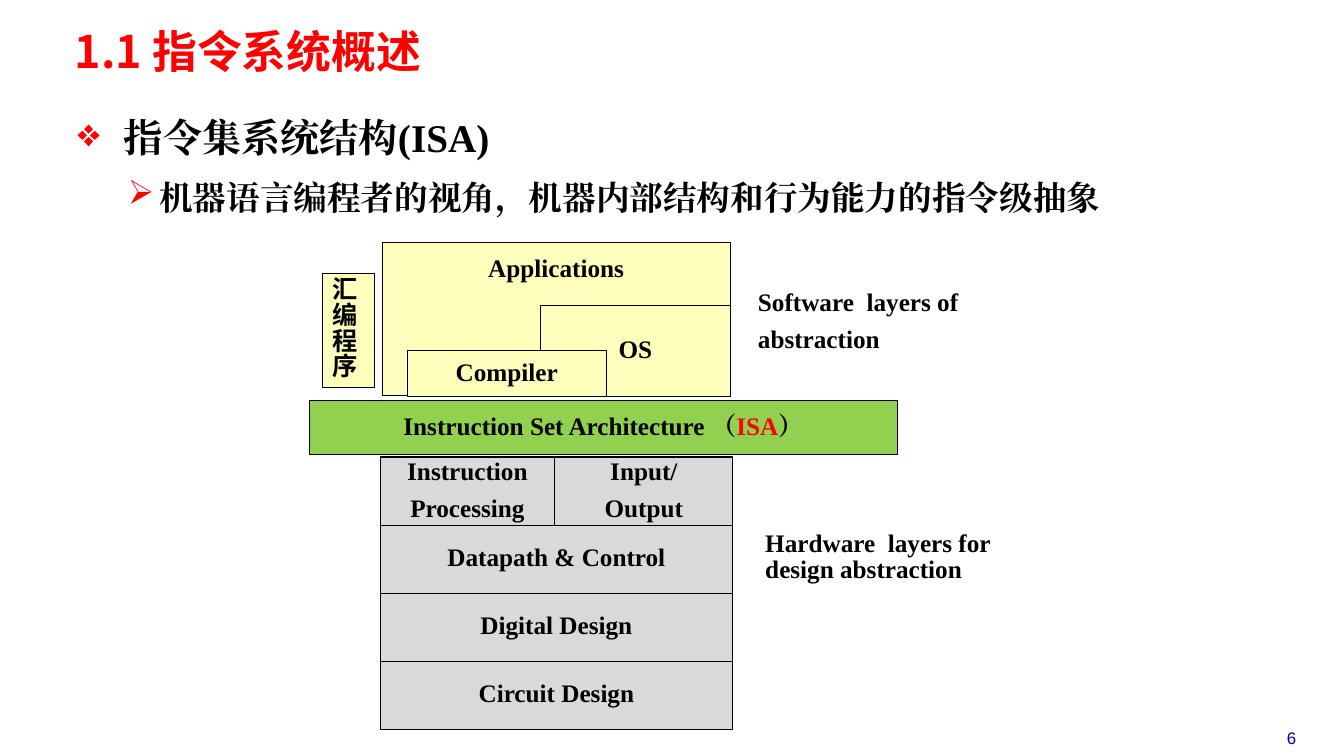
from lxml.etree import SubElement
from pptx import Presentation
from pptx.dml.color import RGBColor
from pptx.enum.shapes import MSO_SHAPE
from pptx.enum.text import MSO_ANCHOR, PP_ALIGN
from pptx.oxml.ns import qn
from pptx.util import Inches, Pt

SERIF, SANS, HAN = "Times New Roman", "Arial", "Noto Sans CJK SC"
BLACK, RED, NAVY = "000000", "FF0000", "000099"
CREAM, GREEN, GREY = "FFFFBD", "92D050", "D9D9D9"
MID, TOP = MSO_ANCHOR.MIDDLE, MSO_ANCHOR.TOP

deck = Presentation()
deck.slide_width, deck.slide_height = Inches(13.33), Inches(7.5)
slide = deck.slides.add_slide(deck.slide_layouts[6])


def place(area, fill=None, anchor=TOP, wrap=True):
    """Add a box whose area is in percent of the slide; return its text frame."""
    sides = (deck.slide_width, deck.slide_height) * 2
    spot = [round(side * part / 100) for side, part in zip(sides, area)]
    if fill:
        box = slide.shapes.add_shape(MSO_SHAPE.RECTANGLE, *spot)
        box.shadow.inherit = False
        box.fill.solid()
        box.fill.fore_color.rgb = RGBColor.from_string(fill)
        box.line.color.rgb = RGBColor.from_string(BLACK)
        box.line.width = Pt(0.75)
    else:
        box = slide.shapes.add_textbox(*spot)
    frame = box.text_frame
    frame.word_wrap, frame.vertical_anchor = wrap, anchor
    return frame


def write(frame, lines, size=18, face=SERIF, align=PP_ALIGN.LEFT,
          lead=0.85, gap=8, bold=True):
    """Write lines, each a list of (text, colour) runs."""
    for row, line in enumerate(lines):
        para = frame.add_paragraph() if row else frame.paragraphs[0]
        para.alignment, para.line_spacing = align, lead
        para.space_before = Pt(gap if row else 0)
        for text, hue in line:
            run = para.add_run()
            run.text = text
            run.font.size, run.font.bold, run.font.name = Pt(size), bold, face
            run.font.color.rgb = RGBColor.from_string(hue)
            SubElement(run.font._element, qn("a:ea"), typeface=face)


# Title and page number
title = place((5.03, 3.73, 57.54, 6.93))
title.margin_left = title.margin_right = Inches(0.07)
title.margin_top = title.margin_bottom = Inches(0.03)
write(title, [[("1.1 指令系统概述", RED)]], 32, HAN, lead=0.87)
write(place((92.57, 95.6, 7.05, 4)), [[("6", NAVY)]], 12, SANS,
      PP_ALIGN.CENTER, lead=1, bold=False)

# Bulleted text
body = place((5.03, 13.07, 84.55, 15.87))
write(body, [[("指令集系统结构(ISA)", BLACK)],
             [("机器语言编程者的视角，机器内部结构和行为能力的指令级抽象", BLACK)]],
      28, lead=1.2, gap=3)
body.paragraphs[1].level = 1
body.paragraphs[1].runs[0].font.size = Pt(24)
for para, mark, left, hang in zip(body.paragraphs, "❖➢", (0.46, 0.81), (0.46, 0.31)):
    para.space_after = Pt(3)
    props = para._p.get_or_add_pPr()
    props.set("marL", str(Inches(left)))
    props.set("indent", str(-Inches(hang)))
    tint = SubElement(props, qn("a:buClr"))
    SubElement(tint, qn("a:srgbClr"), val=RED)
    SubElement(props, qn("a:buChar"), char=mark)

# Layer stack
EDGE, WIDE, HALF = 28.28, 26.25, 13
BASE, STEP = 60.45, 9
layers = [
    ((28.43, 32.13, 25.9, 20.13), CREAM, ["Applications"]),
    ((40.2, 40.4, 14.15, 12), CREAM, ["OS"]),
    ((30.3, 46.4, 14.8, 6), CREAM, ["Compiler"]),
    ((EDGE, BASE, HALF, STEP), GREY, ["Instruction", "Processing"]),
    ((EDGE + HALF, BASE, WIDE - HALF, STEP), GREY, ["Input/", "Output"]),
]
for row, name in enumerate(["Datapath & Control", "Digital Design", "Circuit Design"], 1):
    layers.append(((EDGE, BASE + row * STEP, WIDE, STEP), GREY, [name]))
for area, fill, names in layers:
    frame = place(area, fill, MID, False)
    if names == ["Applications"]:
        frame.vertical_anchor, frame.margin_top = TOP, Inches(0.14)
    write(frame, [[(name, BLACK)] for name in names], align=PP_ALIGN.CENTER)

write(place((23.03, 52.93, 43.75, 7.2), GREEN, MID, False),
      [[("Instruction Set Architecture （", BLACK), ("ISA", RED), ("）", BLACK)]],
      align=PP_ALIGN.CENTER)
write(place((24, 36.13, 3.9, 15.07), CREAM), [[("汇编程序", BLACK)]], face=SANS)

# Side labels
write(place((55.66, 37.87, 23.93, 10.27)),
      [[("Software  layers of", BLACK)], [("abstraction", BLACK)]])
write(place((56.2, 69.73, 19.2, 12.13)),
      [[("Hardware  layers for design abstraction", BLACK)]])

deck.save("out.pptx")
